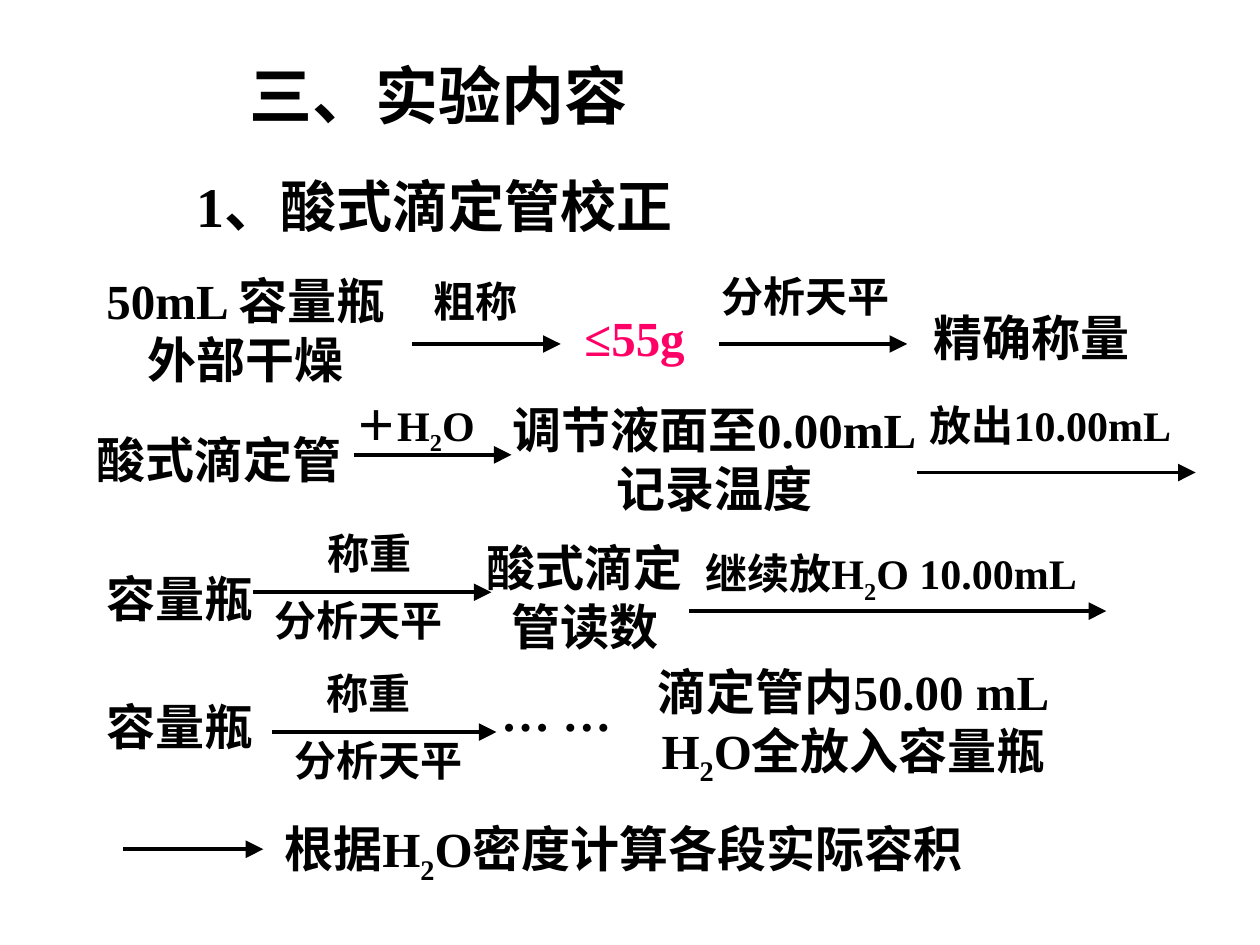
"""Build the slide with the burette calibration procedure."""
from dataclasses import dataclass

from pptx import Presentation
from pptx import util as u
from pptx.dml.color import RGBColor
from pptx.enum import shapes, text
from pptx.oxml.ns import qn
from lxml import etree

COLORS = {"ink": "000000", "limit": "FF0066", "paper": "FFFFFF"}
FONT = {"name": "Times New Roman", "bold": True}
TITLE, HEADING, STEP, NOTE = 36, 32, 28, 24
SUBSCRIPT = "-25000"


@dataclass
class Label:
    """Text box; parts between underscores are subscripts."""
    content: str
    left: float
    top: float
    width: float
    height: float
    size: int = STEP
    centered: bool = False
    wrap: bool = True
    color: str = "ink"


@dataclass
class Arrow:
    """Horizontal arrow pointing right."""
    left: float
    right: float
    y: float


LABELS = [
    Label("三、实验内容", 1.88, 0.4, 3.96, 0.79, TITLE),
    Label("1、酸式滴定管校正", 1.46, 1.31, 4.57, 0.75, HEADING),
    Label("50mL 容量瓶\n外部干燥", 0.67, 2.1, 2.56, 1.04, centered=True),
    Label("粗称", 3.34, 2.14, 0.92, 0.5, NOTE, wrap=False),
    Label("≤55g", 4.54, 2.39, 1.05, 0.57, wrap=False, color="limit"),
    Label("分析天平", 5.63, 2.1, 1.57, 0.5, NOTE),
    Label("精确称量", 7.28, 2.39, 1.81, 0.57, centered=True),
    Label("酸式滴定管", 0.67, 3.36, 2.28, 0.57),
    Label("＋H_2_O", 2.72, 3.12, 1.32, 0.56, NOTE),
    Label("调节液面至0.00mL\n记录温度", 3.9, 3.12, 3.54, 1.04, centered=True),
    Label("放出10.00mL", 7.28, 3.12, 2.28, 0.5, NOTE),
    Label("容量瓶", 0.75, 4.46, 1.57, 0.57),
    Label("称重", 2.5, 4.14, 1.06, 0.5, NOTE),
    Label("分析天平", 2.08, 4.67, 1.64, 0.5, NOTE),
    Label("酸式滴定管读数", 3.74, 4.22, 1.8, 1.04, centered=True),
    Label("继续放H_2_O 10.00mL", 5.5, 4.3, 3.28, 0.56, NOTE),
    Label("容量瓶", 0.75, 5.48, 1.42, 0.57),
    Label("称重", 2.49, 5.25, 1.06, 0.5, NOTE),
    Label("分析天平", 2.24, 5.78, 1.57, 0.5, NOTE, wrap=False),
    Label("… …", 3.88, 5.37, 1.13, 0.57, wrap=False),
    Label("滴定管内50.00 mL\nH_2_O全放入容量瓶", 5.01, 5.2, 3.53, 1.1,
          centered=True, wrap=False),
    Label("根据H_2_O密度计算各段实际容积", 2.16, 6.45, 5.83, 0.63),
]

ARROWS = [
    Arrow(3.27, 4.45, 2.73),
    Arrow(5.71, 7.2, 2.73),
    Arrow(2.81, 4.06, 3.61),
    Arrow(7.28, 9.49, 3.75),
    Arrow(2.01, 3.9, 4.7),
    Arrow(5.47, 8.78, 4.85),
    Arrow(2.16, 3.94, 5.81),
    Arrow(0.98, 2.09, 6.74),
]


def rgb(name: str) -> RGBColor:
    """Look up a colour by name."""
    return RGBColor.from_string(COLORS[name])


def add_label(s, label: Label) -> None:
    """Draw one text box."""
    box = (label.left, label.top, label.width, label.height)
    tf = s.shapes.add_textbox(*map(u.Inches, box)).text_frame
    fixed = label.size >= HEADING
    frame = {
        "word_wrap": label.wrap,
        "auto_size": text.MSO_AUTO_SIZE.NONE if fixed
        else text.MSO_AUTO_SIZE.SHAPE_TO_FIT_TEXT,
    }
    for name, value in frame.items():
        setattr(tf, name, value)
    for i, line in enumerate(label.content.split("\n")):
        p = tf.add_paragraph() if i else tf.paragraphs[0]
        p.alignment = text.PP_ALIGN.CENTER if label.centered else text.PP_ALIGN.LEFT
        for j, part in enumerate(line.split("_")):
            r = p.add_run()
            r.text = part
            for name, value in {**FONT, "size": u.Pt(label.size)}.items():
                setattr(r.font, name, value)
            r.font.color.rgb = rgb(label.color)
            if j % 2:
                r.font._element.set("baseline", SUBSCRIPT)


def add_arrow(s, arrow: Arrow) -> None:
    """Draw one arrow without a shadow."""
    ends = (arrow.left, arrow.y, arrow.right, arrow.y)
    sp = s.shapes.add_connector(shapes.MSO_CONNECTOR.STRAIGHT, *map(u.Inches, ends))
    sp.line.width = u.Pt(2)
    sp.line.color.rgb = rgb("ink")
    etree.SubElement(sp.line._get_or_add_ln(), qn("a:tailEnd"),
                     type="triangle", w="lg", len="lg")
    etree.SubElement(sp._element.spPr, qn("a:effectLst"))


def main() -> None:
    """Build and save the slide."""
    prs = Presentation()
    prs.slide_width, prs.slide_height = u.Inches(10), u.Inches(7.5)
    s = prs.slides.add_slide(prs.slide_layouts[6])
    s.background.fill.solid()
    s.background.fill.fore_color.rgb = rgb("paper")
    for arrow in ARROWS:
        add_arrow(s, arrow)
    for label in LABELS:
        add_label(s, label)
    prs.save("out.pptx")


if __name__ == "__main__":
    main()
